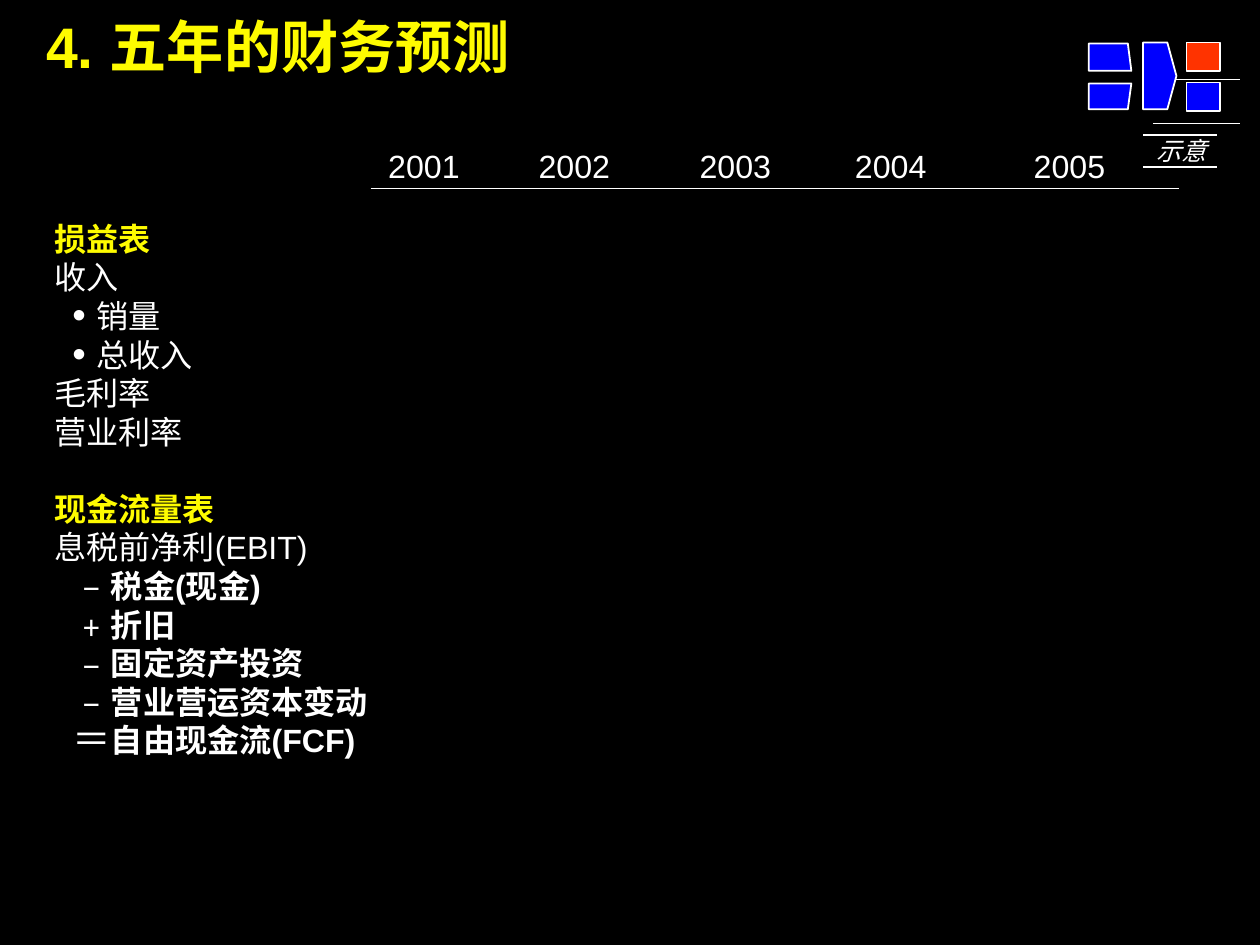
from dataclasses import dataclass

from lxml.etree import SubElement
from pptx import Presentation
from pptx.dml.color import RGBColor
from pptx.enum.shapes import MSO_CONNECTOR, MSO_SHAPE
from pptx.enum.text import MSO_ANCHOR, MSO_AUTO_SIZE, PP_ALIGN
from pptx.oxml.ns import qn
from pptx.util import Cm, Pt


@dataclass(frozen=True)
class Theme:
    back: str = "000000"
    text: str = "FFFFFF"
    head: str = "FEFB00"
    blue: str = "0000FE"
    red: str = "FF3300"
    latin: str = "Arial"
    asian: str = "Noto Sans CJK SC"
    title: int = 32
    body: int = 18
    tag: int = 14
    thin: float = 0.75
    line: float = 1
    lead: float = 1.2


THEME = Theme()

# Text, bullet mark, heading, bold
ROWS = [
    ("损益表", None, True, True),
    ("收入", None, False, False),
    ("销量", "•", False, False),
    ("总收入", "•", False, False),
    ("毛利率", None, False, False),
    ("营业利率", None, False, False),
    ("现金流量表", None, True, True),
    ("息税前净利(EBIT)", None, False, False),
    ("税金(现金)", "﹣", False, True),
    ("折旧", "﹢", False, True),
    ("固定资产投资", "﹣", False, True),
    ("营业营运资本变动", "﹣", False, True),
    ("自由现金流(FCF)", "＝", False, True),
]
YEARS = {"2001": 7.67, "2002": 10.64, "2003": 13.82, "2004": 16.89, "2005": 20.42}
RULES = [
    (22.78, 24.49, 2.44, THEME.line),
    (22.78, 24.49, 1.57, THEME.line),
    (7.32, 23.29, 3.73, THEME.thin),
    (22.58, 24.05, 2.67, THEME.thin),
    (22.58, 24.05, 3.3, THEME.thin),
]
TILES = [(0.84, THEME.red), (1.63, THEME.blue)]
PANELS = [
    [(22.58, 0.84), (23.06, 0.84), (23.24, 1.5), (23.06, 2.16), (22.58, 2.16)],
    [(21.51, 2.16), (22.28, 2.16), (22.35, 1.65), (21.51, 1.65)],
    [(21.51, 0.86), (22.28, 0.86), (22.35, 1.4), (21.51, 1.4)],
]


def rgb(code):
    return RGBColor.from_string(code)


def apply(item, values):
    for name, value in values.items():
        setattr(item, name, value)


def place(shape, left, top, width, height):
    box = {"left": left, "top": top, "width": width, "height": height}
    apply(shape, {name: Cm(size) for name, size in box.items()})


def frame(shape, anchor=MSO_ANCHOR.TOP, wrap=True):
    """Strip the margins of a text shape and return its text frame."""
    area = shape.text_frame
    apply(area, {
        "margin_left": 0, "margin_top": 0, "margin_right": 0, "margin_bottom": 0,
        "word_wrap": wrap, "auto_size": MSO_AUTO_SIZE.NONE,
        "vertical_anchor": anchor,
    })
    return area


def bullet(para, mark):
    props = para._p.get_or_add_pPr()
    left, hang = (Cm(0.84), Cm(-0.48)) if mark else (0, 0)
    props.set("marL", str(left))
    props.set("indent", str(hang))
    if not mark:
        SubElement(props, qn("a:buNone"))
        return
    tint = SubElement(props, qn("a:buClr"))
    SubElement(tint, qn("a:srgbClr"), val=THEME.text)
    SubElement(props, qn("a:buSzPct"), val="120000")
    SubElement(props, qn("a:buFont"), typeface=THEME.latin)
    SubElement(props, qn("a:buChar"), char=mark)


def write(para, text, size, color=THEME.text, align=PP_ALIGN.LEFT, gap=0,
          face=THEME.latin, bold=False, italic=False):
    apply(para, {
        "alignment": align, "line_spacing": Pt(size * THEME.lead),
        "space_before": Pt(gap), "space_after": Pt(0),
    })
    run = para.add_run()
    run.text = text
    apply(run.font, {"name": face, "size": Pt(size), "bold": bold, "italic": italic})
    run.font.color.rgb = rgb(color)
    SubElement(run._r.get_or_add_rPr(), qn("a:ea"), typeface=THEME.asian)


def label(slide, text, box, size, anchor=MSO_ANCHOR.TOP, wrap=True, **style):
    shape = slide.shapes.add_textbox(*map(Cm, box))
    write(frame(shape, anchor, wrap).paragraphs[0], text, size, **style)


def rule(slide, left, right, top, width):
    line = slide.shapes.add_connector(
        MSO_CONNECTOR.STRAIGHT, Cm(left), Cm(top), Cm(right), Cm(top))
    line.line.width = Pt(width)
    line.line.color.rgb = rgb(THEME.text)
    SubElement(line._element.spPr, qn("a:effectLst"))


def paint(shape, color):
    shape.shadow.inherit = False
    shape.fill.solid()
    shape.fill.fore_color.rgb = rgb(color)
    shape.line.color.rgb = rgb(THEME.text)
    shape.line.width = Pt(THEME.line)


def panel(slide, points):
    first, *rest = [(Cm(x), Cm(y)) for x, y in points]
    path = slide.shapes.build_freeform(*first)
    path.add_line_segments(rest, close=True)
    paint(path.convert_to_shape(), THEME.blue)


def listing(shape):
    """Fill the body with the two statements and their items."""
    place(shape, 1.07, 4.33, 6.4, 10.67)
    area = frame(shape)
    for i, (text, mark, head, bold) in enumerate(ROWS):
        para = area.add_paragraph() if i else area.paragraphs[0]
        para.level = 1 if mark else 0
        bullet(para, mark)
        write(para, text, THEME.body, THEME.head if head else THEME.text,
              gap=THEME.body * THEME.lead if head and i else 0, bold=bold)


def main():
    deck = Presentation()
    apply(deck, {"slide_width": Cm(24.89), "slide_height": Cm(18.67)})
    slide = deck.slides.add_slide(deck.slide_layouts[1])
    slide.background.fill.solid()
    slide.background.fill.fore_color.rgb = rgb(THEME.back)

    title, body = slide.placeholders
    place(title, 0.91, 0.22, 18.85, 1.35)
    write(frame(title).paragraphs[0], "4. 五年的财务预测", THEME.title,
          THEME.head, bold=True)
    listing(body)

    for item in RULES:
        rule(slide, *item)
    for year, left in YEARS.items():
        label(slide, year, (left, 2.9, 3.23, 0.76), THEME.body, MSO_ANCHOR.BOTTOM)
    label(slide, "示意", (22.83, 2.67, 1, 0.58), THEME.tag, wrap=False,
          align=PP_ALIGN.RIGHT, face=THEME.asian, italic=True)

    for top, color in TILES:
        tile = slide.shapes.add_shape(
            MSO_SHAPE.RECTANGLE, Cm(23.44), Cm(top), Cm(0.66), Cm(0.56))
        paint(tile, color)
    for points in PANELS:
        panel(slide, points)
    deck.save("out.pptx")


if __name__ == "__main__":
    main()
